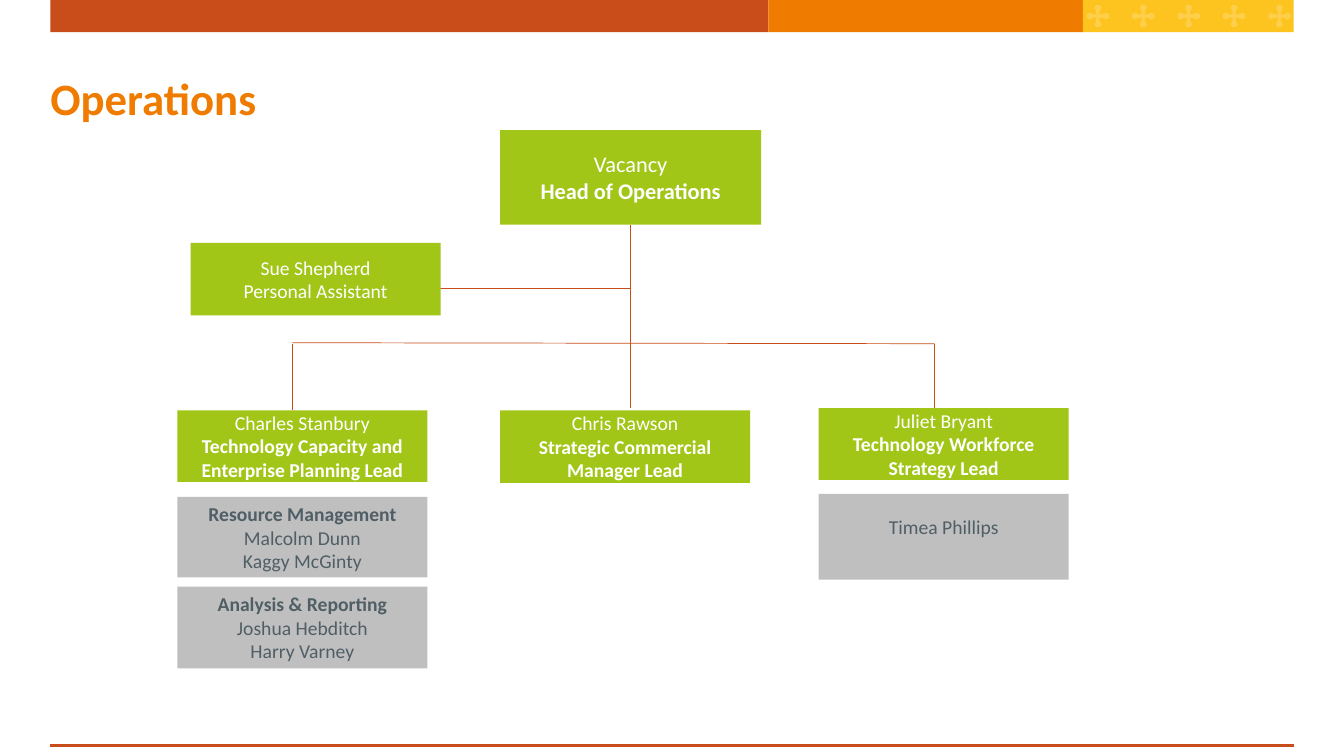
from math import cos, sin, radians
from pptx import Presentation
from pptx.util import Inches, Pt
from pptx.dml.color import RGBColor
from pptx.enum.shapes import MSO_SHAPE, MSO_CONNECTOR
from pptx.enum.text import PP_ALIGN, MSO_ANCHOR
from pptx.oxml.ns import qn
from lxml import etree

COLORS = {
    "rust": "C94D1B", "orange": "EF7B00", "yellow": "FDC41F",
    "green": "A1C617", "gray": "BFBFBF", "slate": "505E65", "white": "FFFFFF",
}
RGB = {name: RGBColor.from_string(code) for name, code in COLORS.items()}
FONT = "Calibri"

deck = Presentation()
deck.slide_width, deck.slide_height = Inches(13.33), Inches(7.5)
slide = deck.slides.add_slide(deck.slide_layouts[6])
shapes = slide.shapes


def add_box(left, top, width, height, fill, lines=(), bold=None, size=14):
    """Add a filled box with centred lines; bold is the index of the bold one."""
    box = shapes.add_shape(MSO_SHAPE.RECTANGLE, Inches(left), Inches(top),
                           Inches(width), Inches(height))
    box.shadow.inherit = False
    box.fill.solid()
    box.fill.fore_color.rgb = RGB[fill]
    box.line.fill.background()
    frame = box.text_frame
    frame.word_wrap = True
    frame.vertical_anchor = MSO_ANCHOR.MIDDLE
    for i, line in enumerate(lines):
        para = frame.paragraphs[0] if i == 0 else frame.add_paragraph()
        para.text = line
        para.alignment = PP_ALIGN.CENTER
        para.font.name, para.font.size = FONT, Pt(size)
        para.font.bold = i == bold
        para.font.color.rgb = RGB["slate" if fill == "gray" else "white"]
    return box


def add_line(x1, y1, x2, y2, weight=0.5):
    """Add a straight rust line between two points."""
    line = shapes.add_connector(MSO_CONNECTOR.STRAIGHT, Inches(x1), Inches(y1),
                                Inches(x2), Inches(y2))
    line.line.color.rgb = RGB["rust"]
    line.line.width = Pt(weight)
    etree.SubElement(line._element.spPr, qn("a:effectLst"))


# Header band and footer rule
for left, width, fill in [(0.5, 7.12, "rust"), (7.62, 3.13, "orange"),
                          (10.74, 2.09, "yellow")]:
    add_box(left, 0, width, 0.32, fill)

# Crosses: one round-ended arm, turned four times
arm = [(0.08 + 0.035 * cos(radians(a)), 0.035 * sin(radians(a)))
       for a in range(-150, 151, 60)] + [(0.015, 0.015)]
points = []
for turn in range(4):
    points += arm
    arm = [(-y, x) for x, y in arm]
band = shapes.add_group_shape()
for i in range(5):
    spots = [(Inches(10.89 + 0.45 * i + x), Inches(0.16 + y)) for x, y in points]
    pen = band.shapes.build_freeform(*spots[0])
    pen.add_line_segments(spots[1:])
    cross = pen.convert_to_shape()
    cross.shadow.inherit = False
    cross.fill.solid()
    cross.fill.fore_color.rgb = RGB["white"]
    cross.line.fill.background()
    tint = cross._element.spPr.find(qn("a:solidFill"))[0]
    etree.SubElement(tint, qn("a:alpha"), val="20000")
add_line(0.5, 7.4, 12.83, 7.4, 2.25)

# Title
title = shapes.add_textbox(Inches(0.5), Inches(0.47), Inches(12.33), Inches(1))
frame = title.text_frame
frame.word_wrap = True
frame.vertical_anchor = MSO_ANCHOR.MIDDLE
frame.margin_left = frame.margin_right = frame.margin_top = frame.margin_bottom = 0
para = frame.paragraphs[0]
para.text = "Operations"
para.font.name, para.font.size, para.font.bold = FONT, Pt(32), True
para.font.color.rgb = RGB["orange"]

# Reporting lines
add_line(6.25, 2.23, 6.25, 4.05)
add_line(4.09, 2.86, 6.25, 2.86)
add_line(2.9, 3.4, 9.27, 3.41)
add_line(2.9, 3.41, 2.9, 4.07)
add_line(9.27, 3.41, 9.27, 4.05)

# Head and assistant
add_box(4.96, 1.29, 2.59, 0.94, "green", ["Vacancy", "Head of Operations"], 1, 16)
add_box(1.89, 2.41, 2.48, 0.72, "green", ["Sue Shepherd", "Personal Assistant"])

# Leads
for left, top, height, name, role in [
    (1.76, 4.07, 0.71, "Charles Stanbury",
     "Technology Capacity and Enterprise Planning Lead"),
    (4.96, 4.07, 0.72, "Chris Rawson", "Strategic Commercial Manager Lead"),
    (8.12, 4.05, 0.71, "Juliet Bryant", "Technology Workforce Strategy Lead"),
]:
    add_box(left, top, 2.48, height, "green", [name, role], 1)

# Teams
add_box(1.76, 4.93, 2.48, 0.8, "gray",
        ["Resource Management", "Malcolm Dunn", "Kaggy McGinty"], 0)
add_box(1.76, 5.82, 2.48, 0.81, "gray",
        ["Analysis & Reporting", "Joshua Hebditch", "Harry Varney"], 0)
team = add_box(8.12, 4.9, 2.48, 0.85, "gray", ["Timea Phillips"])
team.text_frame.margin_bottom = Inches(0.24)

deck.save("out.pptx")
